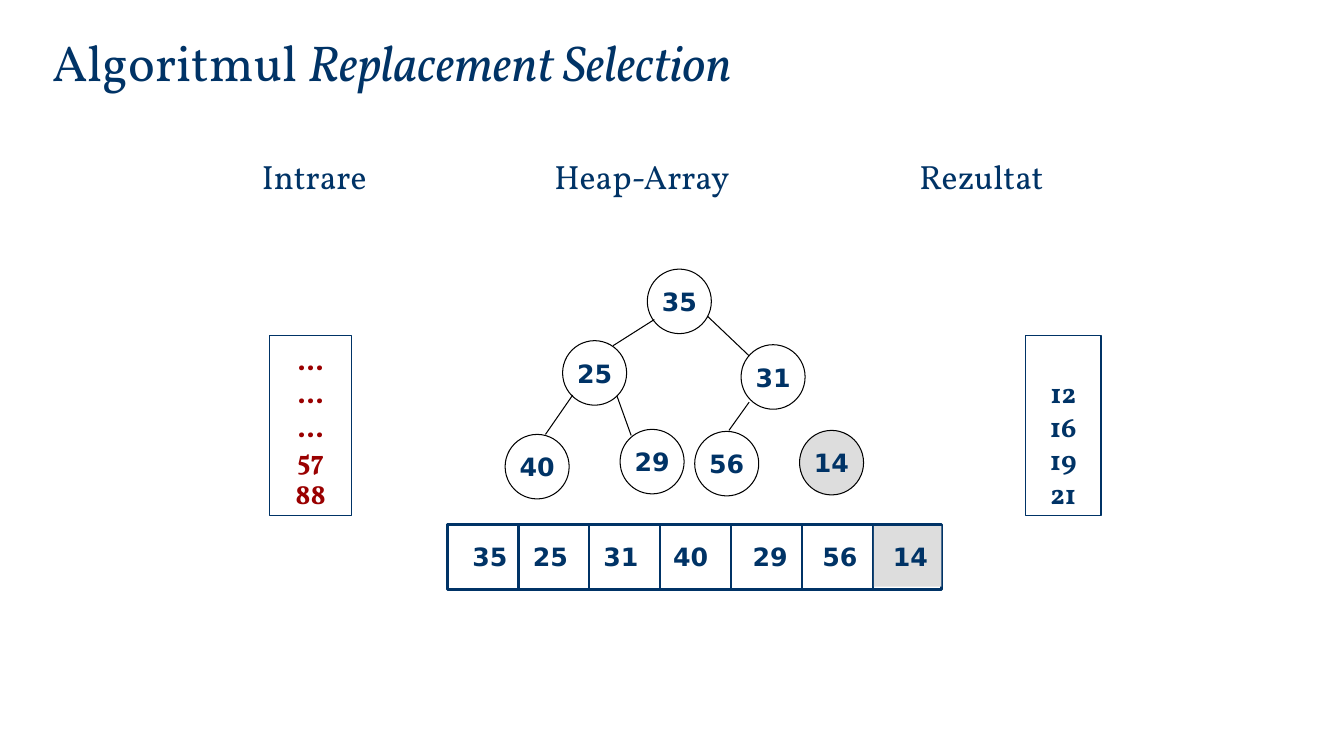
import pptx
import pptx.util
import pptx.dml.color
import pptx.enum.shapes
import pptx.enum.text
import pptx.oxml.ns
from lxml import etree

NAVY = pptx.dml.color.RGBColor(0x00, 0x33, 0x66)
RED = pptx.dml.color.RGBColor(0x9A, 0x00, 0x00)
BLACK = pptx.dml.color.RGBColor(0x00, 0x00, 0x00)
WHITE = pptx.dml.color.RGBColor(0xFF, 0xFF, 0xFF)
GREY = pptx.dml.color.RGBColor(0xDD, 0xDD, 0xDD)
SERIF, SANS = "Vollkorn", "DejaVu Sans"
COLS, ROWS = 133.3, 75
SHAPE = pptx.enum.shapes.MSO_SHAPE
ALIGN = pptx.enum.text.PP_ALIGN
ANCHOR = pptx.enum.text.MSO_ANCHOR


def grid(*units):
    """Turn counts of grid columns or rows, a tenth of an inch each, into lengths."""
    return [pptx.util.Inches(u / 10) for u in units]


def add_run(p, text, size, color, font, bold=False, italic=False):
    """Append one formatted run to a paragraph."""
    r = p.add_run()
    r.text = text
    r.font.size = pptx.util.Pt(size)
    r.font.name = font
    r.font.color.rgb = color
    r.font.bold = bold
    r.font.italic = italic


def add_box(s, kind, box, fill=None, line=None, width=0.75):
    """Add a preset shape without shadow, with optional fill and outline."""
    sp = s.shapes.add_shape(kind, *grid(*box))
    sp.shadow.inherit = False
    if fill is None:
        sp.fill.background()
    else:
        sp.fill.solid()
        sp.fill.fore_color.rgb = fill
    if line is None:
        sp.line.fill.background()
    else:
        sp.line.color.rgb = line
        sp.line.width = pptx.util.Pt(width)
    return sp


def add_line(s, ends, color, width):
    """Add a straight line without shadow."""
    c = s.shapes.add_connector(pptx.enum.shapes.MSO_CONNECTOR.STRAIGHT, *grid(*ends))
    c.line.color.rgb = color
    c.line.width = pptx.util.Pt(width)
    etree.SubElement(c._element.spPr, pptx.oxml.ns.qn("a:effectLst"))


def add_number(sp, number):
    """Centre a bold number in a shape or text box."""
    tf = sp.text_frame
    tf.word_wrap = False
    tf.vertical_anchor = ANCHOR.MIDDLE
    tf.margin_left = tf.margin_right = tf.margin_top = tf.margin_bottom = 0
    p = tf.paragraphs[0]
    p.alignment = ALIGN.CENTER
    add_run(p, str(number), 18, NAVY, SANS, bold=True)


def add_title(s, box):
    """Place and fill the title placeholder."""
    sp = s.shapes.title
    sp.left, sp.top, sp.width, sp.height = grid(*box)
    tf = sp.text_frame
    tf.word_wrap = True
    tf.vertical_anchor = ANCHOR.BOTTOM
    p = tf.paragraphs[0]
    p.alignment = ALIGN.LEFT
    add_run(p, "Algoritmul ", 36, NAVY, SERIF)
    add_run(p, "Replacement Selection", 36, NAVY, SERIF, italic=True)


def add_headings(s, box):
    """Write the three column headings along the box."""
    x, y, w, h = box
    for dx, text in ((0, "Intrare"), (29, "Heap-Array"), (65.2, "Rezultat")):
        tf = s.shapes.add_textbox(*grid(x + dx, y, 25, h)).text_frame
        tf.word_wrap = True
        add_run(tf.paragraphs[0], text, 24, NAVY, SERIF)


def add_tree(s, box):
    """Draw the heap as circles joined by lines."""
    x, y, w, h = box
    nodes = ((35, 14.2, 0, WHITE), (25, 5.8, 7.1, WHITE), (31, 23.5, 7.5, WHITE),
             (40, 0.1, 16.4, WHITE), (29, 11.5, 15.9, WHITE),
             (56, 18.9, 16.1, WHITE), (14, 29.3, 16, GREY))
    edges = ((14.9, 5, 10.8, 7.6), (20.2, 4.7, 24.3, 8.6), (6.8, 12.5, 4.1, 16.4),
             (11.2, 12.6, 12.6, 16.5), (24.3, 13.2, 22.3, 16))
    for number, dx, dy, fill in nodes:
        sp = add_box(s, SHAPE.OVAL, (x + dx, y + dy, 6.35, 6.4), fill, BLACK)
        add_number(sp, number)
    for x1, y1, x2, y2 in edges:
        add_line(s, (x + x1, y + y1, x + x2, y + y2), BLACK, 0.75)


def add_array(s, box):
    """Draw the heap array with its last cell shaded."""
    x, y, w, h = box
    values = ((35, 4.2), (25, 10.2), (31, 17.2), (40, 24.1), (29, 32), (56, 38.9), (14, 45.9))
    cell = 7.03
    add_box(s, SHAPE.RECTANGLE, box, WHITE, NAVY, 2)
    for i in range(1, len(values)):
        add_line(s, (x + i * cell, y, x + i * cell, y + h), NAVY, 1.5)
    add_box(s, SHAPE.RECTANGLE, (x + 6 * cell + 0.1, y + 0.2, 6.7, h - 0.5), GREY)
    for number, centre in values:
        add_number(s.shapes.add_textbox(*grid(x + centre - 2.5, y + 1.2, 5, 4)), number)


def add_list(s, box, lines, color):
    """Draw an outlined list whose lines stack up from the bottom."""
    sp = add_box(s, SHAPE.RECTANGLE, box, line=NAVY)
    tf = sp.text_frame
    tf.word_wrap = True
    tf.vertical_anchor = ANCHOR.BOTTOM
    for i, text in enumerate(lines):
        p = tf.add_paragraph() if i else tf.paragraphs[0]
        p.alignment = ALIGN.CENTER
        add_run(p, text, 20, color, SERIF, bold=True)


def main():
    """Build the slide and save it."""
    prs = pptx.Presentation()
    prs.slide_width, prs.slide_height = grid(COLS, ROWS)
    s = prs.slides.add_slide(prs.slide_layouts[5])
    add_title(s, (4.2, 2.5, 112.5, 7.1))
    add_headings(s, (25, 15, 91.7, 5))
    add_array(s, (44.4, 52, 49, 6.5))
    add_tree(s, (50, 26.7, 35.7, 22.8))
    add_list(s, (26.7, 33.3, 8.2, 17.8), ("...", "...", "...", "57", "88"), RED)
    add_list(s, (101.7, 33.3, 7.5, 17.8), ("12", "16", "19", "21"), NAVY)
    prs.save("out.pptx")


if __name__ == "__main__":
    main()
